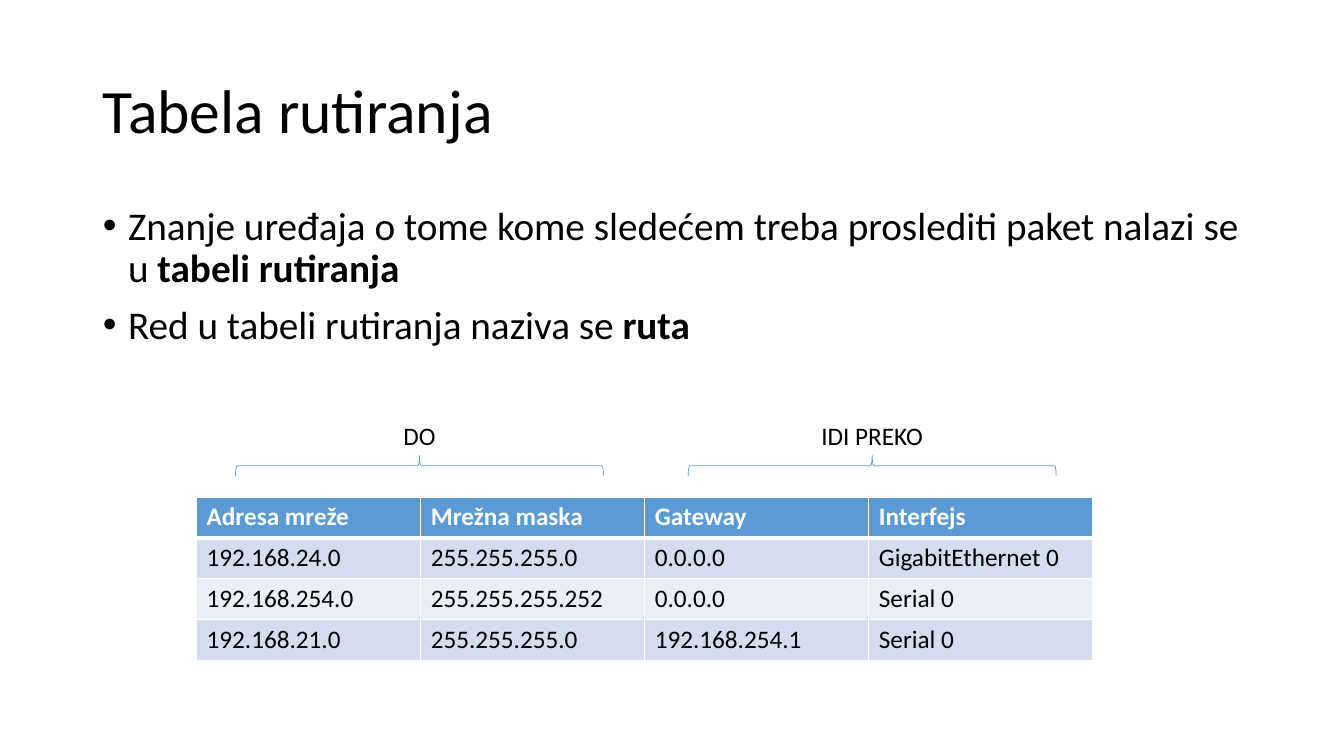
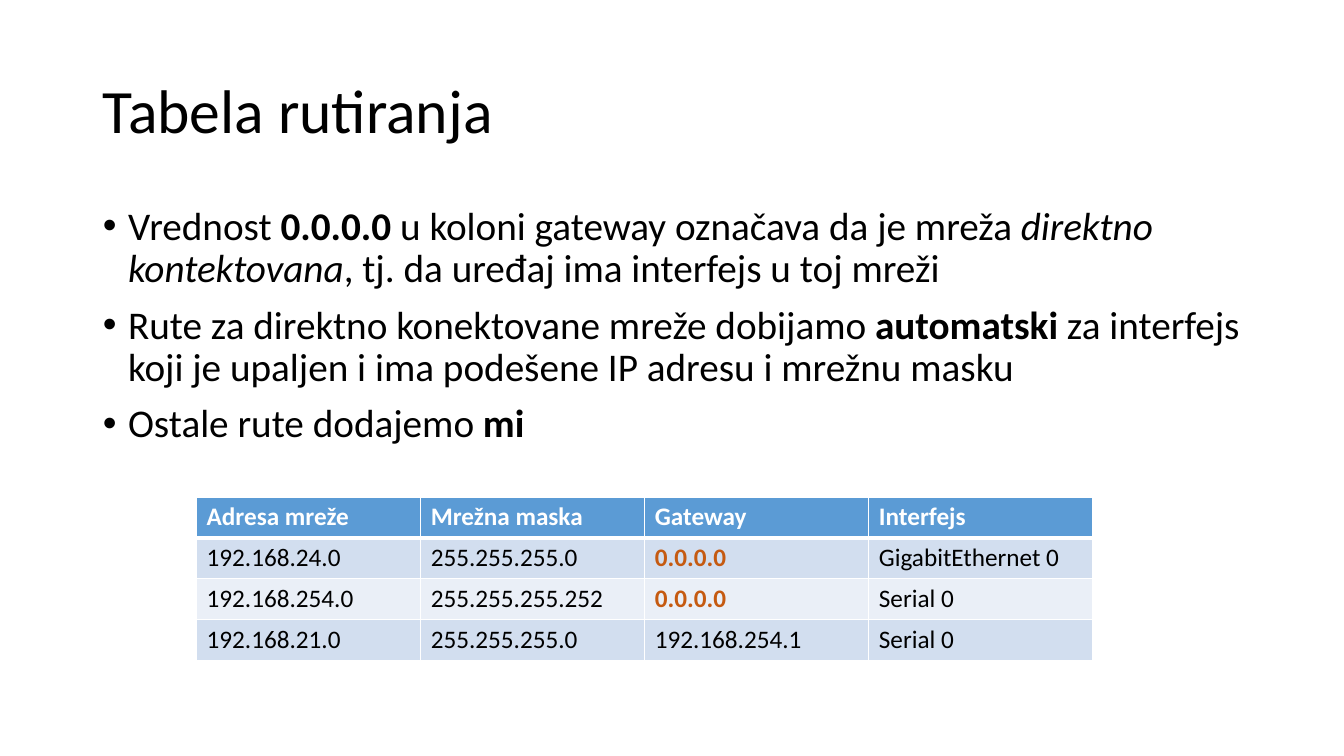
from dataclasses import dataclass

from pptx import Presentation
from pptx.dml.color import RGBColor
from pptx.enum.shapes import MSO_SHAPE
from pptx.enum.text import MSO_ANCHOR, MSO_AUTO_SIZE, PP_ALIGN
from pptx.oxml import parse_xml
from pptx.oxml.ns import nsdecls
from pptx.util import Pt

PX = 9144


@dataclass(frozen=True)
class Theme:
    font: str = "Calibri"
    text: str = "000000"
    white: str = "FFFFFF"
    accent: str = "5B9BD5"
    bands: tuple = ("D2DEEF", "EAEFF7")
    highlight: str = "C55A11"
    title_size: int = 44
    body_size: int = 28
    small_size: int = 18


T = Theme()

TITLE = "Tabela rutiranja"
ROUTES = [
    ("Adresa mreže", "Mrežna maska", "Gateway", "Interfejs"),
    ("192.168.24.0", "255.255.255.0", "0.0.0.0", "GigabitEthernet 0"),
    ("192.168.254.0", "255.255.255.252", "0.0.0.0", "Serial 0"),
    ("192.168.21.0", "255.255.255.0", "192.168.254.1", "Serial 0"),
]
SLIDES = [
    {
        "body_height": 156,
        "bullets": [
            [("Znanje uređaja o tome kome sledećem treba proslediti paket nalazi se u ", ""),
             ("tabeli rutiranja", "b")],
            [("Red u tabeli rutiranja naziva se ", ""), ("ruta", "b")],
        ],
        "braces": [("DO", 416, 52), ("IDI PREKO", 865, 122)],
        "marked": None,
    },
    {
        "body_height": 261,
        "bullets": [
            [("Vrednost ", ""), ("0.0.0.0", "b"),
             (" u koloni gateway označava da je mreža ", ""),
             ("direktno kontektovana", "i"),
             (", tj. da uređaj ima interfejs u toj mreži", "")],
            [("Rute za direktno konektovane mreže dobijamo ", ""), ("automatski", "b"),
             (" za interfejs koji je upaljen i ima podešene IP adresu i mrežnu masku", "")],
            [("Ostale rute dodajemo ", ""), ("mi", "b")],
        ],
        "braces": [],
        "marked": "0.0.0.0",
    },
]


def box(x, y, w, h):
    return [round(v * PX) for v in (x, y, w, h)]


def place(shape, *rect):
    shape.left, shape.top, shape.width, shape.height = box(*rect)


def style(r, size, color=T.text, bold=False, italic=False):
    f = r.font
    f.name, f.size, f.bold, f.italic = T.font, Pt(size), bold, italic
    f.color.rgb = RGBColor.from_string(color)


def add_title(s):
    sp = s.shapes.title
    place(sp, 92, 40, 1150, 145)
    tf = sp.text_frame
    tf.text = TITLE
    tf.vertical_anchor = MSO_ANCHOR.MIDDLE
    tf.auto_size = MSO_AUTO_SIZE.NONE
    p = tf.paragraphs[0]
    p.alignment, p.line_spacing = PP_ALIGN.LEFT, 0.9
    style(p.runs[0], T.title_size)


def add_bullets(s, bullets, height):
    sp = s.placeholders[1]
    place(sp, 92, 200, 1150, height)
    tf = sp.text_frame
    tf.auto_size = MSO_AUTO_SIZE.NONE
    for i, parts in enumerate(bullets):
        p = tf.add_paragraph() if i else tf.paragraphs[0]
        p.line_spacing, p.space_before = 0.9, Pt(10)
        pPr = p._p.get_or_add_pPr()
        pPr.set("marL", str(25 * PX))
        pPr.set("indent", str(-25 * PX))
        pPr.append(parse_xml(f'<a:buFont {nsdecls("a")} typeface="Arial"/>'))
        pPr.append(parse_xml(f'<a:buChar {nsdecls("a")} char="•"/>'))
        for text, mark in parts:
            r = p.add_run()
            r.text = text
            style(r, T.body_size, bold=mark == "b", italic=mark == "i")


def set_borders(cell, widths):
    tcPr = cell._tc.get_or_add_tcPr()
    for side, width in zip("LRTB", widths):
        tcPr.append(parse_xml(
            f'<a:ln{side} {nsdecls("a")} w="{Pt(width)}"><a:solidFill>'
            f'<a:srgbClr val="{T.white}"/></a:solidFill></a:ln{side}>'))


def add_routes(s, marked):
    rows, cols = len(ROUTES), len(ROUTES[0])
    table = s.shapes.add_table(rows, cols, *box(195, 493, 889, 162)).table
    for i, row in enumerate(ROUTES):
        header = i == 0
        for j, text in enumerate(row):
            cell = table.cell(i, j)
            set_borders(cell, (1, 1, 3 if i == 1 else 1, 3 if header else 1))
            cell.fill.solid()
            cell.fill.fore_color.rgb = RGBColor.from_string(
                T.accent if header else T.bands[(i - 1) % 2])
            cell.text_frame.text = text
            hit = text == marked
            color = T.white if header else T.highlight if hit else T.text
            style(cell.text_frame.paragraphs[0].runs[0], T.small_size, color, header or hit)


def add_brace(s, label, center, label_width):
    thick, span, middle = 20, 365, 462
    sp = s.shapes.add_shape(MSO_SHAPE.LEFT_BRACE, *box(
        center - thick / 2, middle - span / 2, thick, span))
    sp.rotation = 90
    sp.shadow.inherit = False
    sp.fill.background()
    sp.line.color.rgb = RGBColor.from_string(T.accent)
    sp.line.width = Pt(0.5)
    tf = s.shapes.add_textbox(*box(center - label_width / 2, 412, label_width, 40)).text_frame
    tf.word_wrap = False
    tf.auto_size = MSO_AUTO_SIZE.SHAPE_TO_FIT_TEXT
    tf.text = label
    p = tf.paragraphs[0]
    p.alignment = PP_ALIGN.CENTER
    style(p.runs[0], T.small_size)


def main():
    prs = Presentation()
    prs.slide_width, prs.slide_height = box(0, 0, 1333, 750)[2:]
    for data in SLIDES:
        s = prs.slides.add_slide(prs.slide_layouts[1])
        add_title(s)
        add_bullets(s, data["bullets"], data["body_height"])
        add_routes(s, data["marked"])
        for brace in data["braces"]:
            add_brace(s, *brace)
    prs.save("out.pptx")


if __name__ == "__main__":
    main()
